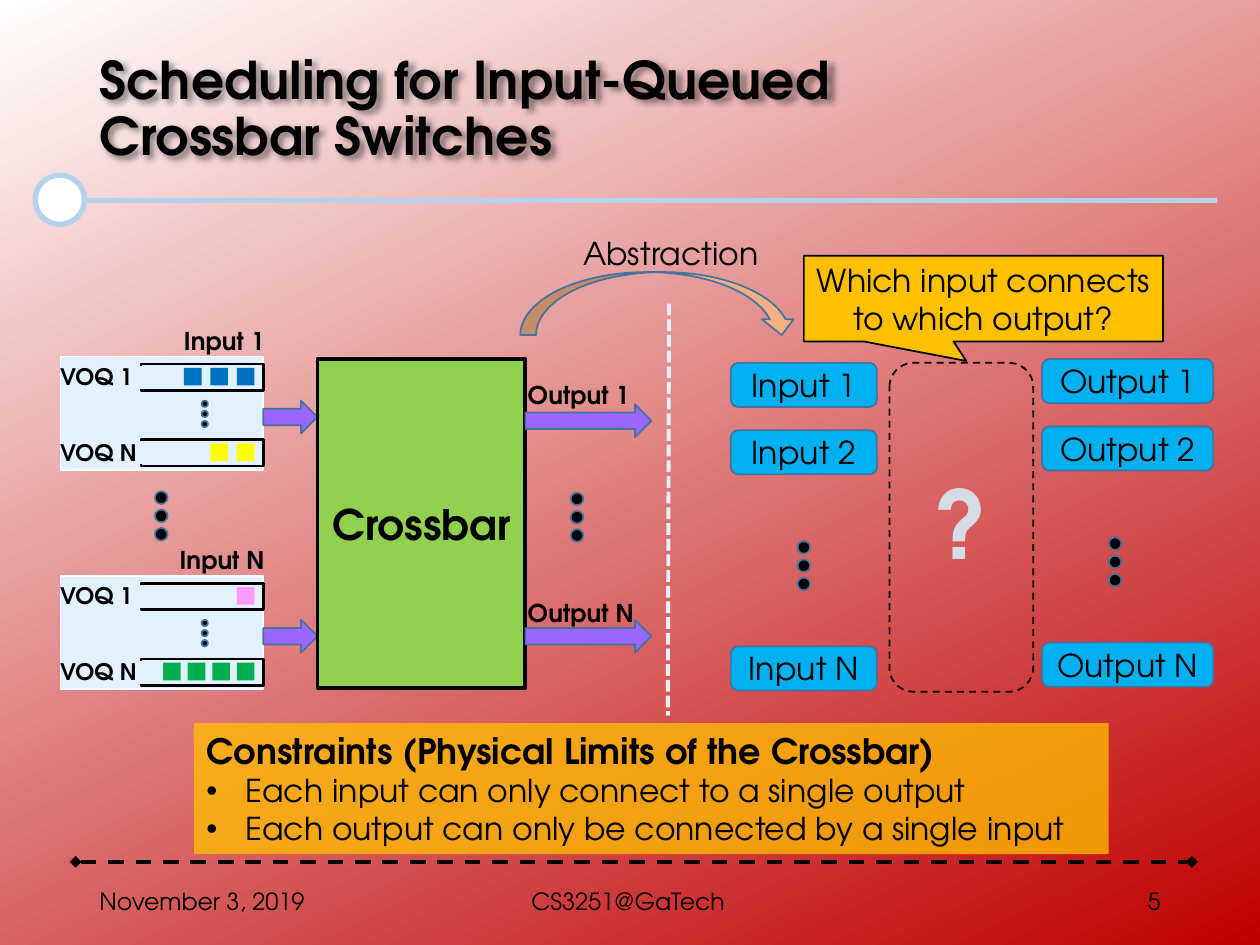
from lxml import etree
from pptx import Presentation
from pptx.dml.color import RGBColor
from pptx.enum.dml import MSO_LINE
from pptx.enum.shapes import MSO_CONNECTOR, MSO_SHAPE
from pptx.enum.text import MSO_ANCHOR, MSO_AUTO_SIZE, PP_ALIGN
from pptx.oxml.ns import qn
from pptx.util import Inches, Pt

RECT, ROUND = MSO_SHAPE.RECTANGLE, MSO_SHAPE.ROUNDED_RECTANGLE
OVAL, ARROW = MSO_SHAPE.OVAL, MSO_SHAPE.RIGHT_ARROW
CALLOUT, CURVE = MSO_SHAPE.RECTANGULAR_CALLOUT, MSO_SHAPE.CURVED_DOWN_ARROW
STRAIGHT = MSO_CONNECTOR.STRAIGHT
DASH, SHORT_DASH = MSO_LINE.DASH, MSO_LINE.SQUARE_DOT
LEFT, CENTER, RIGHT = PP_ALIGN.LEFT, PP_ALIGN.CENTER, PP_ALIGN.RIGHT
TOP, MIDDLE = MSO_ANCHOR.TOP, MSO_ANCHOR.MIDDLE
FIXED, GROW = MSO_AUTO_SIZE.NONE, MSO_AUTO_SIZE.SHAPE_TO_FIT_TEXT
FONT = "TeX Gyre Adventor"
BLACK, EDGE, PALE = "000000", "43739E", "E3F1FF"
PURPLE, CYAN, RING = "9966FF", "00B0F0", "B5D2EC"


def rgb(hex_color):
    """Turn a hex string into a colour."""
    return RGBColor.from_string(hex_color)


def sub(parent, tag, **attrs):
    """Append an XML child with attributes."""
    child = etree.SubElement(parent, qn(tag))
    for name, value in attrs.items():
        child.set(name, str(value))
    return child


def write(p, text, size=18, color=BLACK, bold=False, align=LEFT):
    """Write one formatted run into a paragraph."""
    p.alignment = align
    r = p.add_run()
    r.text = text
    r.font.name, r.font.size, r.font.bold = FONT, Pt(size), bold
    r.font.color.rgb = rgb(color)


def shape(s, kind, box, fill=None, line=None, width=1.0, text=None, **fmt):
    """Add a preset shape with fill, line and centred text."""
    sp = s.shapes.add_shape(kind, *map(Inches, box))
    sp.shadow.inherit = False
    if fill:
        sp.fill.solid()
        sp.fill.fore_color.rgb = rgb(fill)
    else:
        sp.fill.background()
    if line:
        sp.line.color.rgb = rgb(line)
        sp.line.width = Pt(width)
    else:
        sp.line.fill.background()
    if text:
        sp.text_frame.vertical_anchor = MIDDLE
        write(sp.text_frame.paragraphs[0], text, align=CENTER, **fmt)
    return sp


def label(s, box, text, wrap=False, anchor=TOP, **fmt):
    """Add a text box with one paragraph."""
    tf = s.shapes.add_textbox(*map(Inches, box)).text_frame
    tf.word_wrap = wrap
    tf.auto_size = FIXED if wrap else GROW
    tf.vertical_anchor = anchor
    write(tf.paragraphs[0], text, **fmt)


def rule(s, start, end, color, width, dash=None):
    """Add a straight line."""
    c = s.shapes.add_connector(STRAIGHT, *map(Inches, start + end))
    c.line.color.rgb = rgb(color)
    c.line.width = Pt(width)
    if dash:
        c.line.dash_style = dash
    sub(c._element.spPr, "a:effectLst")
    return c


def dots(s, x, y, size=0.1, step=0.145):
    """Stack three dots downwards."""
    for i in range(3):
        shape(s, OVAL, (x, y + i * step, size, size), BLACK, EDGE)


def backdrop(s):
    """Set the gradient background."""
    fill = s.background.fill
    fill.gradient()
    fill.gradient_angle = 295
    for stop, color, pos in zip(fill.gradient_stops, ("FFFFFF", "C00000"), (0, 1)):
        stop.color.rgb = rgb(color)
        stop.position = pos


def heading(s, x, y, w, h):
    """Place the title and the ruled ring below it."""
    rule(s, (x, 1.59), (9.66, 1.59), RING, 3)
    shape(s, OVAL, (0.28, 1.39, 0.39, 0.39), "FFFFFF", RING, 3)
    sp = s.shapes.title
    sp.left, sp.top, sp.width, sp.height = map(Inches, (x, y, w, h))
    tf = sp.text_frame
    tf.word_wrap, tf.auto_size, tf.vertical_anchor = True, FIXED, MIDDLE
    tf.margin_right, tf.margin_bottom = Inches(0.5), Inches(0.55)
    p = tf.paragraphs[0]
    p.line_spacing = 0.9
    write(p, "Scheduling for Input-Queued Crossbar Switches", 29.7, bold=True)
    effects = sub(sp._element.spPr, "a:effectLst")
    shadow = sub(effects, "a:outerShdw", blurRad=Pt(3), dist=Pt(3), dir=2700000)
    sub(sub(shadow, "a:srgbClr", val=BLACK), "a:alpha", val=43000)


def footer(s, y, h):
    """Place the footer rule and its three texts."""
    c = rule(s, (0.6, 6.84), (9.46, 6.84), BLACK, 2.25, DASH)
    for tag in ("a:headEnd", "a:tailEnd"):
        sub(c.line._get_or_add_ln(), tag, type="diamond")
    for x, w, text, align in ((0.69, 2.25, "November 3, 2019", LEFT),
                              (2.41, 5.15, "CS3251@GaTech", CENTER),
                              (7.06, 2.25, "5", RIGHT)):
        label(s, (x, y, w, h), text, True, MIDDLE, size=13.5, align=align)


def input_panel(s, x, y, name, queues):
    """Place one input with its virtual output queues."""
    shape(s, RECT, (x, y, 1.61, 0.9), PALE, "FFFFFF")
    for i, (queue, color, count, step) in enumerate(queues):
        top = y + 0.06 + 0.6 * i
        shape(s, RECT, (x + 0.64, top, 0.97, 0.21), PALE, BLACK, 1.5)
        shape(s, RECT, (x + 0.63, top + 0.02, 0.17, 0.17), PALE, PALE)
        for k in range(count):
            shape(s, RECT, (x + 1.4 - k * step, top + 0.03, 0.14, 0.14), color)
        label(s, (x - 0.1, top - 0.06, 0.84, 0.32), queue, size=13, bold=True)
    dots(s, x + 1.12, y + 0.35, 0.05, 0.08)
    label(s, (x + 0.8, y - 0.29, 0.92, 0.34), name, size=14, bold=True, align=RIGHT)
    shape(s, ARROW, (x + 1.61, y + 0.35, 0.43, 0.26), PURPLE, EDGE)


def crossbar(s, x, y):
    """Place the crossbar switch with its inputs and outputs."""
    input_panel(s, x, y, "Input 1",
                (("VOQ 1", "0070C0", 3, 0.21), ("VOQ N", "FFFF00", 2, 0.21)))
    input_panel(s, x, y + 1.74, "Input N",
                (("VOQ 1", "FF99FF", 1, 0.21), ("VOQ N", "00B050", 4, 0.195)))
    dots(s, x + 0.75, y + 1.07)
    shape(s, RECT, (x + 2.04, y + 0.02, 1.65, 2.61), "92D050", BLACK, 2.25,
          "Crossbar", size=24, bold=True)
    for name, arrow, text in (("Output 1", 0.38, 0.14), ("Output N", 2.09, 1.87)):
        shape(s, ARROW, (x + 3.69, y + arrow, 1, 0.26), PURPLE, EDGE)
        label(s, (x + 3.61, y + text, 1.06, 0.34), name, size=14, bold=True)
    dots(s, x + 4.05, y + 1.08)


def ports(s, x, y, w, kind, dots_x):
    """Place one column of abstract ports."""
    for name, dy in (("1", 0), ("2", 0.535), ("N", 2.25)):
        shape(s, ROUND, (x, y + dy, w, 0.35), CYAN, EDGE, text=f"{kind} {name}")
    dots(s, x + dots_x, y + 1.415)


def abstraction(s, x, y):
    """Place the matching problem between inputs and outputs."""
    rule(s, (x - 0.49, y - 0.47), (x - 0.5, y + 2.8), PALE, 2.25, SHORT_DASH)
    ports(s, x, y, 1.16, "Input", 0.53)
    ports(s, x + 2.47, y - 0.03, 1.36, "Output", 0.53)
    shape(s, ROUND, (x + 1.26, y, 1.14, 2.61), line=BLACK).line.dash_style = DASH
    label(s, (x + 1.52, y + 0.76, 0.63, 1.01), "?", size=54, color="D6DCE5",
          bold=True, align=CENTER)
    sp = shape(s, CALLOUT, (x + 0.58, y - 0.85, 2.85, 0.68), "FFC000", BLACK,
               text="Which input connects to which output?")
    sp.adjustments[0], sp.adjustments[1] = -0.048, 0.728
    shape(s, CURVE, (x - 1.67, y - 0.72, 2.2, 0.5), "F4B183", EDGE)
    label(s, (x - 1.27, y - 1.07, 1.61, 0.4), "Abstraction")


def constraints(s, x, y, w, h):
    """Place the constraints panel with its bullets."""
    sp = shape(s, RECT, (x, y, w, h), "FFC000")
    sub(sp._element.spPr.find(qn("a:solidFill"))[0], "a:alpha", val=75000)
    tf = sp.text_frame
    tf.vertical_anchor = TOP
    write(tf.paragraphs[0], "Constraints (Physical Limits of the Crossbar)", 20, bold=True)
    for text in ("Each input can only connect to a single output",
                 "Each output can only be connected by a single input"):
        p = tf.add_paragraph()
        pPr = p._p.get_or_add_pPr()
        pPr.set("marL", str(Inches(0.31)))
        pPr.set("indent", str(Inches(-0.31)))
        sub(pPr, "a:buFont", typeface="Arial")
        sub(pPr, "a:buChar", char="•")
        write(p, text)


def main():
    """Build the slide and save it."""
    prs = Presentation()
    prs.slide_width, prs.slide_height = Inches(10), Inches(7.5)
    s = prs.slides.add_slide(prs.slide_layouts[5])
    backdrop(s)
    heading(s, 0.69, 0.4, 7.86, 1.45)
    footer(s, 6.95, 0.4)
    abstraction(s, 5.8, 2.88)
    constraints(s, 1.54, 5.74, 7.26, 1.04)
    crossbar(s, 0.48, 2.83)
    prs.save("out.pptx")


if __name__ == "__main__":
    main()
